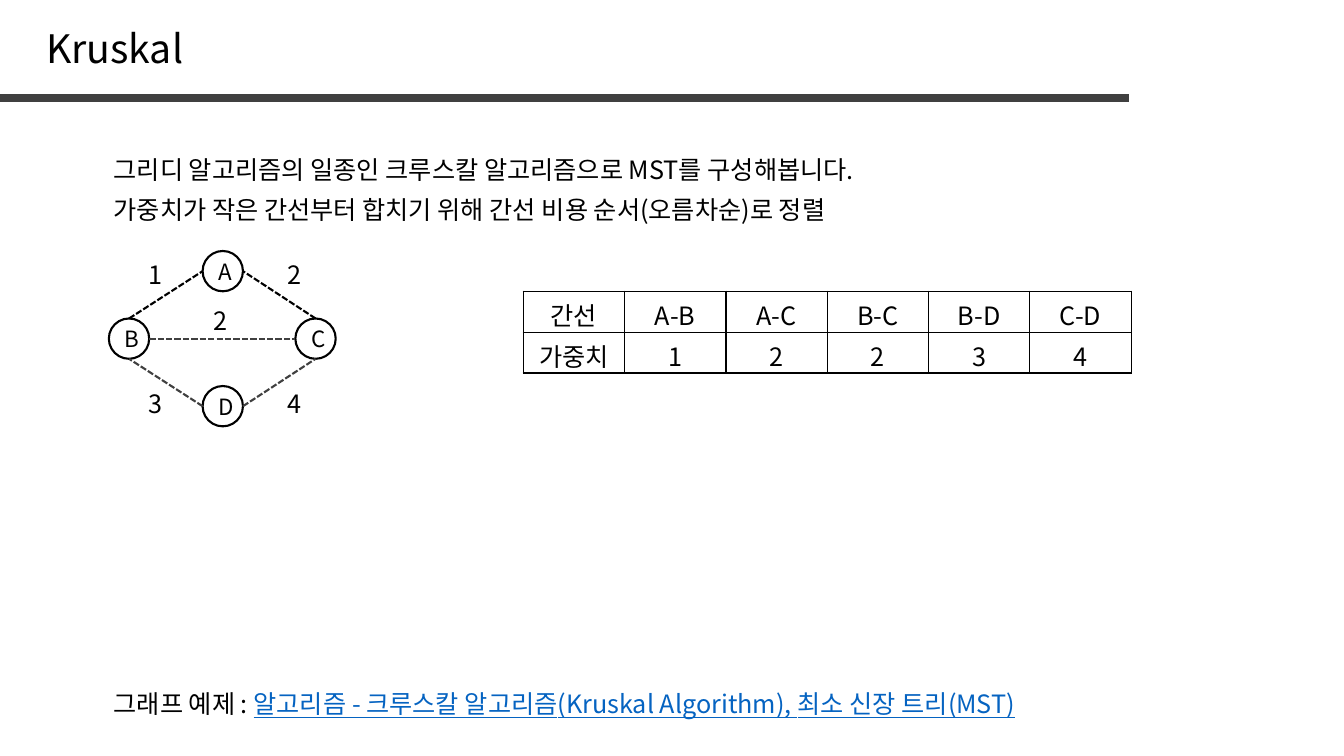
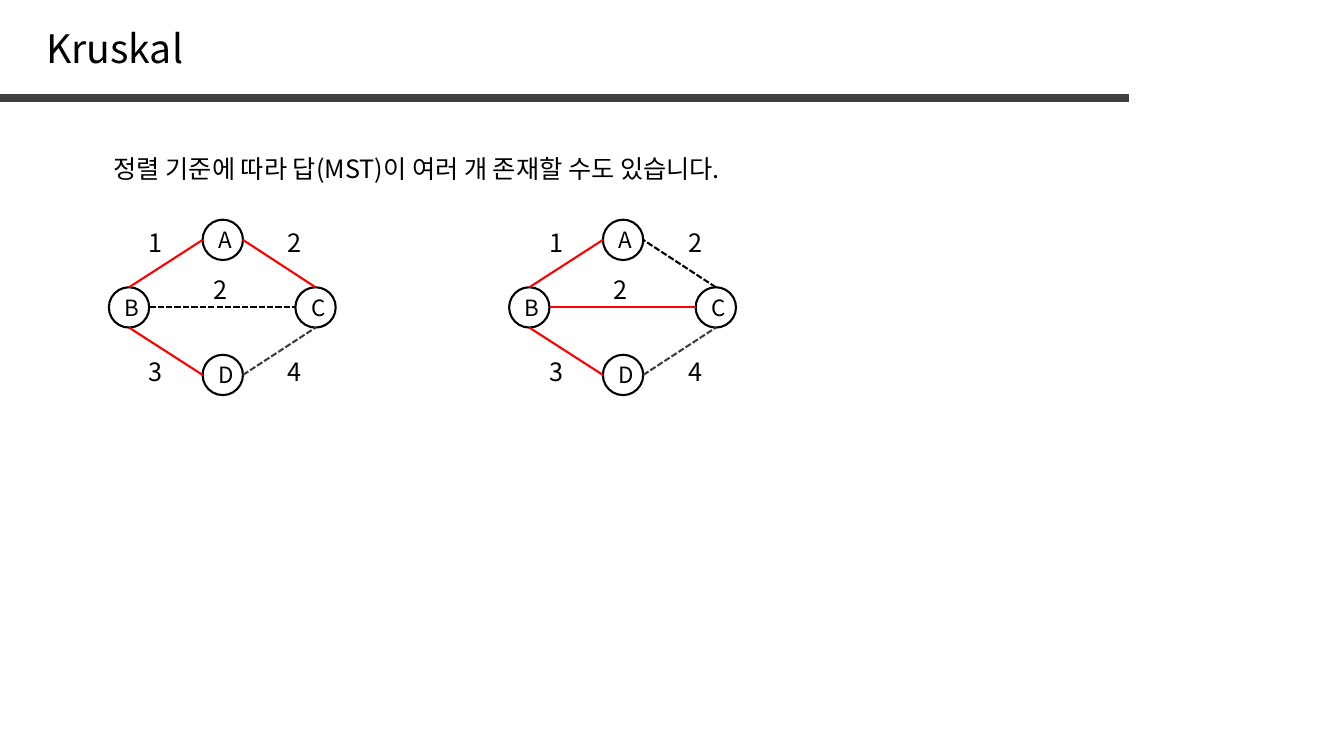
from lxml import etree
from pptx import Presentation
from pptx.dml.color import RGBColor
from pptx.enum.dml import MSO_LINE_DASH_STYLE as Dash
from pptx.enum.shapes import MSO_CONNECTOR, MSO_SHAPE
from pptx.enum.text import PP_ALIGN as Align
from pptx.oxml import parse_xml
from pptx.oxml.ns import nsdecls, qn
from pptx.util import Inches, Pt

FONT = "Noto Sans CJK KR"
BLACK = RGBColor(0x00, 0x00, 0x00)
GRAY = RGBColor(0x40, 0x40, 0x40)
RED = RGBColor(0xFF, 0x00, 0x00)
LINK_BLUE = RGBColor(0x05, 0x63, 0xC1)


def write(frame, text, size=18, align=Align.LEFT, wrap=True):
    frame.word_wrap = wrap
    paragraph = frame.paragraphs[0]
    paragraph.add_run().text = text
    paragraph.alignment = align
    paragraph.font.size = Pt(size)
    paragraph.font.color.rgb = BLACK
    paragraph.font.name = FONT
    # Hangul takes its typeface from a:ea
    font_element = paragraph._p.pPr.find(qn("a:defRPr"))
    etree.SubElement(font_element, qn("a:ea"), typeface=FONT)
    return paragraph


def add_line(slide, start, end, color, width, dashed=False):
    points = [Inches(value) for value in (*start, *end)]
    line = slide.shapes.add_connector(MSO_CONNECTOR.STRAIGHT, *points)
    line.line.color.rgb = color
    line.line.width = Pt(width)
    if dashed:
        line.line.dash_style = Dash.SQUARE_DOT
    etree.SubElement(line._element.spPr, qn("a:effectLst"))


presentation = Presentation()
presentation.slide_width = Inches(13.33)
presentation.slide_height = Inches(7.5)
blank_layout = presentation.slide_layouts[6]
sort_slide, answer_slide = [presentation.slides.add_slide(blank_layout) for _ in range(2)]

# Title and rule on both slides
for slide in (sort_slide, answer_slide):
    add_line(slide, (0, 0.97), (11.2, 0.97), GRAY, 6)
    title = slide.shapes.add_textbox(Inches(0.36), Inches(0.19), Inches(1.59), Inches(0.57))
    write(title.text_frame, "Kruskal", 28, wrap=False)

# Body text, with an underlined blue part where there is one
body_lines = [
    (sort_slide, 1.48, "그리디 알고리즘의 일종인 크루스칼 알고리즘으로 MST를 구성해봅니다.", ""),
    (sort_slide, 1.88, "가중치가 작은 간선부터 합치기 위해 간선 비용 순서(오름차순)로 정렬", ""),
    (sort_slide, 6.78, "그래프 예제 : ",
     "알고리즘 - 크루스칼 알고리즘(Kruskal Algorithm), 최소 신장 트리(MST)"),
    (answer_slide, 1.47, "정렬 기준에 따라 답(MST)이 여러 개 존재할 수도 있습니다.", ""),
]
for slide, top, text, reference in body_lines:
    box = slide.shapes.add_textbox(Inches(1.03), Inches(top), Inches(11.2), Inches(0.4))
    paragraph = write(box.text_frame, text)
    if reference:
        run = paragraph.add_run()
        run.text = reference
        run.font.color.rgb = LINK_BLUE
        run.font.underline = True

# Graph geometry, relative to the graph's top left corner
DIAMETER = 0.4
RADIUS = DIAMETER / 2
NODES = {"A": (0.93, 0), "B": (0, 0.67), "C": (1.85, 0.67), "D": (0.93, 1.34)}
SIDES = {"top": (RADIUS, 0), "left": (0, RADIUS),
         "right": (DIAMETER, RADIUS), "bottom": (RADIUS, DIAMETER)}
# from node, side, to node, side, weight, label offset
EDGES = [
    ("B", "top", "A", "left", 1, (0.2, 0.03)),
    ("C", "top", "A", "right", 2, (1.58, 0.03)),
    ("B", "right", "C", "left", 2, (0.84, 0.49)),
    ("D", "left", "B", "bottom", 3, (0.2, 1.31)),
    ("D", "right", "C", "bottom", 4, (1.58, 1.31)),
]

# Graphs: edge colours follow EDGES, red edges form the tree
graphs = [
    (sort_slide, 1.08, 2.49, [BLACK, BLACK, GRAY, GRAY, GRAY]),
    (answer_slide, 1.08, 2.18, [RED, RED, BLACK, RED, GRAY]),
    (answer_slide, 5.05, 2.18, [RED, BLACK, RED, RED, GRAY]),
]
for slide, left, top, colors in graphs:
    for name, (x, y) in NODES.items():
        node = slide.shapes.add_shape(MSO_SHAPE.OVAL, Inches(left + x), Inches(top + y),
                                      Inches(DIAMETER), Inches(DIAMETER))
        node.shadow.inherit = False
        node.fill.background()
        node.line.color.rgb = BLACK
        node.line.width = Pt(1.5)
        write(node.text_frame, name, 16, Align.CENTER)
    for edge, color in zip(EDGES, colors):
        start, start_side, end, end_side, weight, (x, y) = edge
        ends = [(left + NODES[name][0] + SIDES[side][0], top + NODES[name][1] + SIDES[side][1])
                for name, side in ((start, start_side), (end, end_side))]
        add_line(slide, *ends, color, 1.5, dashed=color != RED)
        label = slide.shapes.add_textbox(Inches(left + x), Inches(top + y),
                                         Inches(0.53), Inches(0.4))
        write(label.text_frame, str(weight), align=Align.CENTER)

# Table of sorted edges
rows = [
    ["간선", "A-B", "A-C", "B-C", "B-D", "C-D"],
    ["가중치", "1", "2", "2", "3", "4"],
]
table = sort_slide.shapes.add_table(2, 6, Inches(5.19), Inches(2.89),
                                    Inches(6.03), Inches(0.81)).table
table.first_row = False
table.horz_banding = False
for row_index, row in enumerate(rows):
    for column_index, text in enumerate(row):
        cell = table.cell(row_index, column_index)
        write(cell.text_frame, text, align=Align.CENTER)
        cell_properties = cell._tc.get_or_add_tcPr()
        for side in "LRTB":
            cell_properties.append(parse_xml(
                f'<a:ln{side} {nsdecls("a")} w="{Pt(1)}"><a:solidFill>'
                f'<a:srgbClr val="{BLACK}"/></a:solidFill></a:ln{side}>'))
        cell.fill.background()

presentation.save("out.pptx")
